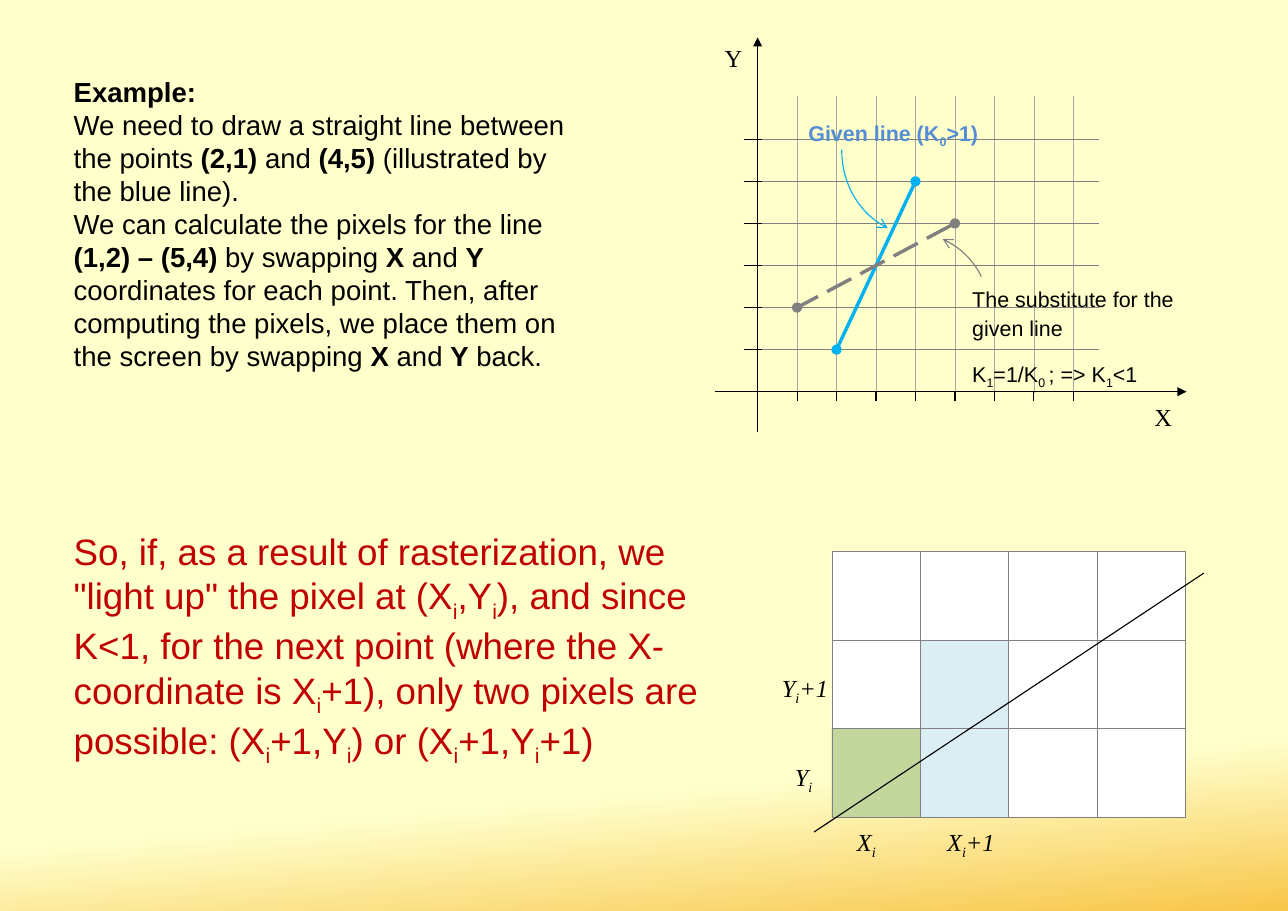
"""Build the slide on swapping X and Y to rasterize steep lines."""
from dataclasses import dataclass

from lxml import etree
from pptx import Presentation
from pptx import util as u
from pptx.dml import color, line
from pptx.enum import dml, shapes, text
from pptx.oxml import ns
from pptx.slide import Slide

Cm, Pt, RGBColor = u.Cm, u.Pt, color.RGBColor
Point = tuple[float, float]

BLACK = RGBColor(0x00, 0x00, 0x00)
WHITE = RGBColor(0xFF, 0xFF, 0xFF)
GRAY = RGBColor(0x80, 0x80, 0x80)
LIGHT_GRAY = RGBColor(0xA6, 0xA6, 0xA6)
CYAN = RGBColor(0x00, 0xB0, 0xF0)
BLUE = RGBColor(0x54, 0x8D, 0xD4)
RED = RGBColor(0xC0, 0x00, 0x00)
GREEN = RGBColor(0xC3, 0xD6, 0x9B)
PALE_BLUE = RGBColor(0xDB, 0xEE, 0xF4)
CREAM = RGBColor(0xFF, 0xFF, 0xCC)
AMBER = RGBColor(0xF8, 0xC6, 0x4A)

ORIGIN_X, ORIGIN_Y = 17.47, 9.03
UNIT_X, UNIT_Y = 0.91, 0.97
COLUMNS, ROWS = 8, 6
PIXEL = 2.04
PIXELS_LEFT, PIXELS_TOP = 19.18, 12.71
LIT_PIXELS = {(0, 2): GREEN, (1, 2): PALE_BLUE, (1, 1): PALE_BLUE}


@dataclass
class Stroke:
    start: Point
    end: Point
    color: RGBColor = BLACK
    width: float = 0.75
    head: str = ""
    tail: str = ""
    dash: dml.MSO_LINE_DASH_STYLE | None = None


@dataclass
class Pointer:
    curve: tuple[Point, Point, Point, Point]
    color: RGBColor


@dataclass
class Label:
    """Text whose pieces between bars are bold or, by default, subscript."""
    box: tuple[float, float, float, float]
    paragraphs: tuple[str, ...]
    size: int = 16
    font: str = "Times New Roman"
    color: RGBColor = BLACK
    bold: bool = False
    italic: bool = False
    bold_marks: bool = False
    loose: bool = True


def at(x: float, y: float) -> Point:
    """Turn plot coordinates into slide centimetres."""
    return ORIGIN_X + x * UNIT_X, ORIGIN_Y - y * UNIT_Y


def style_line(outline: line.LineFormat, ink: RGBColor, width: float,
               head: str = "", tail: str = "", dash=None) -> None:
    """Set colour, width, dash and line ends."""
    outline.color.rgb = ink
    outline.width = Pt(width)
    if dash is not None:
        outline.dash_style = dash
    for tag, kind in (("a:headEnd", head), ("a:tailEnd", tail)):
        if kind:
            etree.SubElement(outline._get_or_add_ln(), ns.qn(tag), type=kind)


def draw_stroke(slide: Slide, stroke: Stroke) -> None:
    """Draw one straight line."""
    ends = [Cm(value) for value in (*stroke.start, *stroke.end)]
    connector = slide.shapes.add_connector(shapes.MSO_CONNECTOR.STRAIGHT, *ends)
    style_line(connector.line, stroke.color, stroke.width,
               stroke.head, stroke.tail, stroke.dash)
    etree.SubElement(connector._element.spPr, ns.qn("a:effectLst"))


def draw_pointer(slide: Slide, pointer: Pointer, steps: int = 16) -> None:
    """Draw a curved arrow whose head is at the start of its Bézier curve."""
    points = []
    for step in range(steps + 1):
        t = step / steps
        weights = ((1 - t) ** 3, 3 * t * (1 - t) ** 2, 3 * t * t * (1 - t), t ** 3)
        points.append(tuple(
            Cm(sum(w * p[axis] for w, p in zip(weights, pointer.curve)))
            for axis in (0, 1)))
    builder = slide.shapes.build_freeform(*points[0])
    builder.add_line_segments(points[1:], close=False)
    arrow = builder.convert_to_shape()
    arrow.shadow.inherit = False
    arrow.fill.background()
    style_line(arrow.line, pointer.color, 0.75, head="arrow")


def draw_label(slide: Slide, label: Label) -> None:
    """Draw one text box."""
    frame = slide.shapes.add_textbox(*map(Cm, label.box)).text_frame
    frame.word_wrap = True
    if not label.loose:
        frame.auto_size = text.MSO_AUTO_SIZE.SHAPE_TO_FIT_TEXT
    for index, wording in enumerate(label.paragraphs):
        paragraph = frame.add_paragraph() if index else frame.paragraphs[0]
        if label.loose:
            paragraph.line_spacing = 1.15
            paragraph.space_after = Pt(10)
        font = paragraph.font
        font.name, font.size = label.font, Pt(label.size)
        font.color.rgb = label.color
        font.bold, font.italic = label.bold, label.italic
        for order, piece in enumerate(wording.split("|")):
            if piece.startswith("\n"):
                paragraph.add_line_break()
            if not piece:
                continue
            run = paragraph.add_run()
            run.text = piece.lstrip("\n")
            if order % 2 and label.bold_marks:
                run.font.bold = True
            elif order % 2:
                run.font._element.set("baseline", "-25000")


def draw_pixels(slide: Slide) -> None:
    """Draw the pixel grid with its lit pixels."""
    for row in range(3):
        for column in range(4):
            pixel = slide.shapes.add_shape(
                shapes.MSO_SHAPE.RECTANGLE, Cm(PIXELS_LEFT + column * PIXEL),
                Cm(PIXELS_TOP + row * PIXEL), Cm(PIXEL), Cm(PIXEL))
            pixel.shadow.inherit = False
            pixel.fill.solid()
            pixel.fill.fore_color.rgb = LIT_PIXELS.get((column, row), WHITE)
            style_line(pixel.line, GRAY, 0.25)


def plot_strokes() -> list[Stroke]:
    """List the grid, ticks, axes and both lines of the plot."""
    strokes = []
    for column in range(1, COLUMNS + 1):
        x, _ = at(column, 0)
        strokes += [Stroke((x, 9.07), (x, 2.22), LIGHT_GRAY, 0.25),
                    Stroke((x, ORIGIN_Y), (x, 9.25))]
    for row in range(1, ROWS + 1):
        _, y = at(0, row)
        strokes += [Stroke((ORIGIN_X, y), (25.35, y), GRAY, 0.25),
                    Stroke((17.15, y), (17.56, y))]
    return strokes + [
        Stroke((16.48, ORIGIN_Y), (27.36, ORIGIN_Y), tail="triangle"),
        Stroke((ORIGIN_X, 9.96), (ORIGIN_X, 0.86), tail="triangle"),
        Stroke(at(4, 5), at(2, 1), CYAN, 2.25, "oval", "oval"),
        Stroke(at(5, 4), at(1, 2), GRAY, 2.25, "oval", "oval",
               dml.MSO_LINE_DASH_STYLE.LONG_DASH),
    ]


POINTERS = [
    Pointer(((20.47, 5.26), (19.81, 4.93), (19.41, 4.24), (19.41, 3.45)), CYAN),
    Pointer(((21.74, 5.51), (22.12, 5.69), (22.45, 5.99), (22.63, 6.38)), GRAY),
]
LABELS = [
    Label((1.45, 1.6, 12.32, 7.19), (
        "|Example:|\nWe need to draw a straight line between the points |(2,1)| and "
        "|(4,5)| (illustrated by the blue line).",
        "We can calculate the pixels for the line |(1,2) – (5,4)| by swapping |X| and "
        "|Y| coordinates for each point. Then, after computing the pixels, we place "
        "them on the screen by swapping |X| and |Y| back."),
        18, "Arial", bold_marks=True, loose=False),
    Label((26.37, 9.04, 0.99, 1.09), ("X",)),
    Label((16.46, 0.76, 0.99, 1.09), ("Y",)),
    Label((18.39, 2.54, 5.92, 0.99), ("Given line (K|0|>1)",), 14, "Arial", BLUE, bold=True),
    Label((22.17, 6.38, 5.66, 3.45), (
        "The substitute for the given line", "K|1|=1/K|0 |; => K|1|<1"), 14, "Arial"),
    Label((1.45, 12.07, 15.16, 5.38), (
        'So, if, as a result of rasterization, we "light up" the pixel at (X|i|,Y|i|), '
        "and since K<1, for the next point (where the X-coordinate is X|i|+1), only two "
        "pixels are possible: (X|i|+1,Y|i|) or (X|i|+1,Y|i|+1)",),
        24, "Arial", RED, loose=False),
    Label((19.51, 18.82, 1.3, 1.04), ("X|i|",), italic=True),
    Label((21.59, 18.82, 1.68, 1.04), ("X|i|+1",), italic=True),
    Label((18.08, 17.32, 1.3, 1.04), ("Y|i|",), italic=True),
    Label((17.78, 15.27, 1.6, 1.04), ("Y|i|+1",), italic=True),
]


def main() -> None:
    """Build and save the slide."""
    deck = Presentation()
    deck.slide_width, deck.slide_height = Cm(29.7), Cm(21)
    slide = deck.slides.add_slide(deck.slide_layouts[6])
    backdrop = slide.background.fill
    backdrop.gradient()
    backdrop.gradient_angle = 275
    for stop, position, ink in zip(backdrop.gradient_stops, (0.83, 1), (CREAM, AMBER)):
        stop.position, stop.color.rgb = position, ink
    draw_pixels(slide)
    for stroke in [*plot_strokes(), Stroke((18.77, 19.18), (27.76, 13.21))]:
        draw_stroke(slide, stroke)
    for pointer in POINTERS:
        draw_pointer(slide, pointer)
    for label in LABELS:
        draw_label(slide, label)
    deck.save("out.pptx")


if __name__ == "__main__":
    main()
